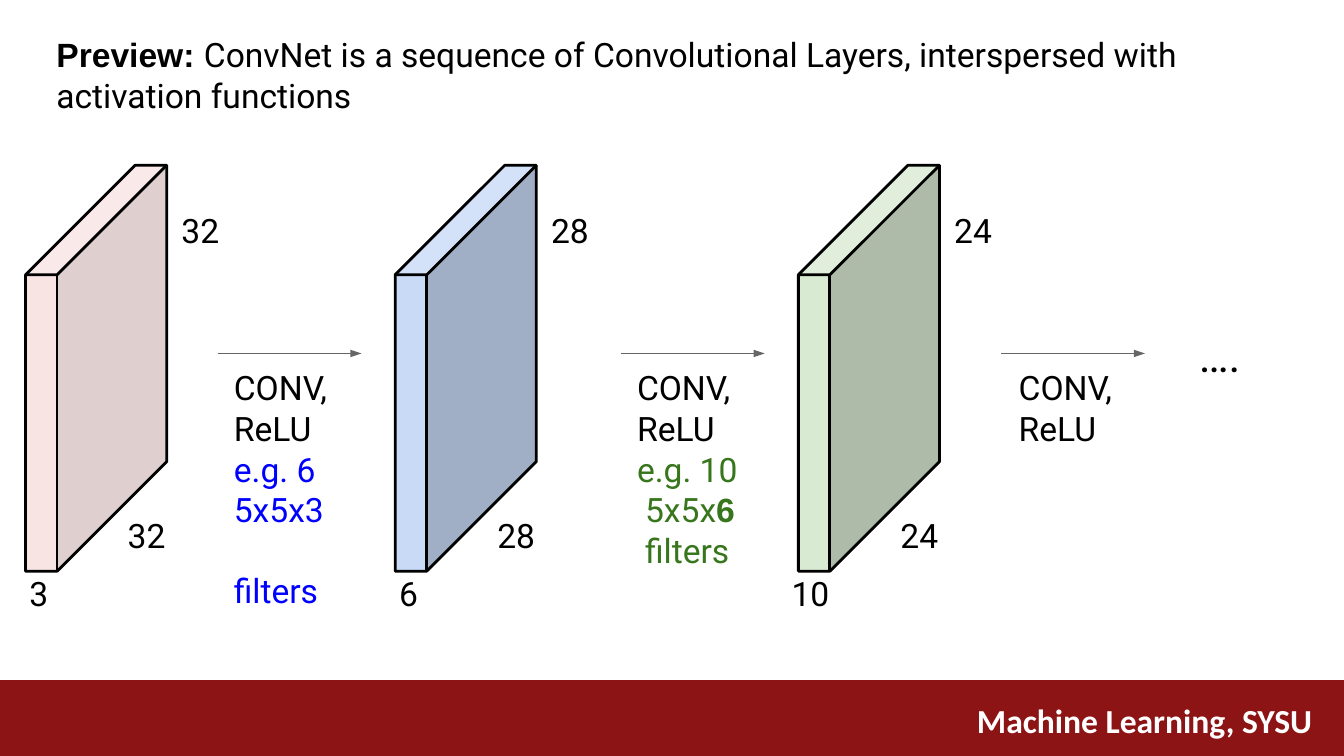
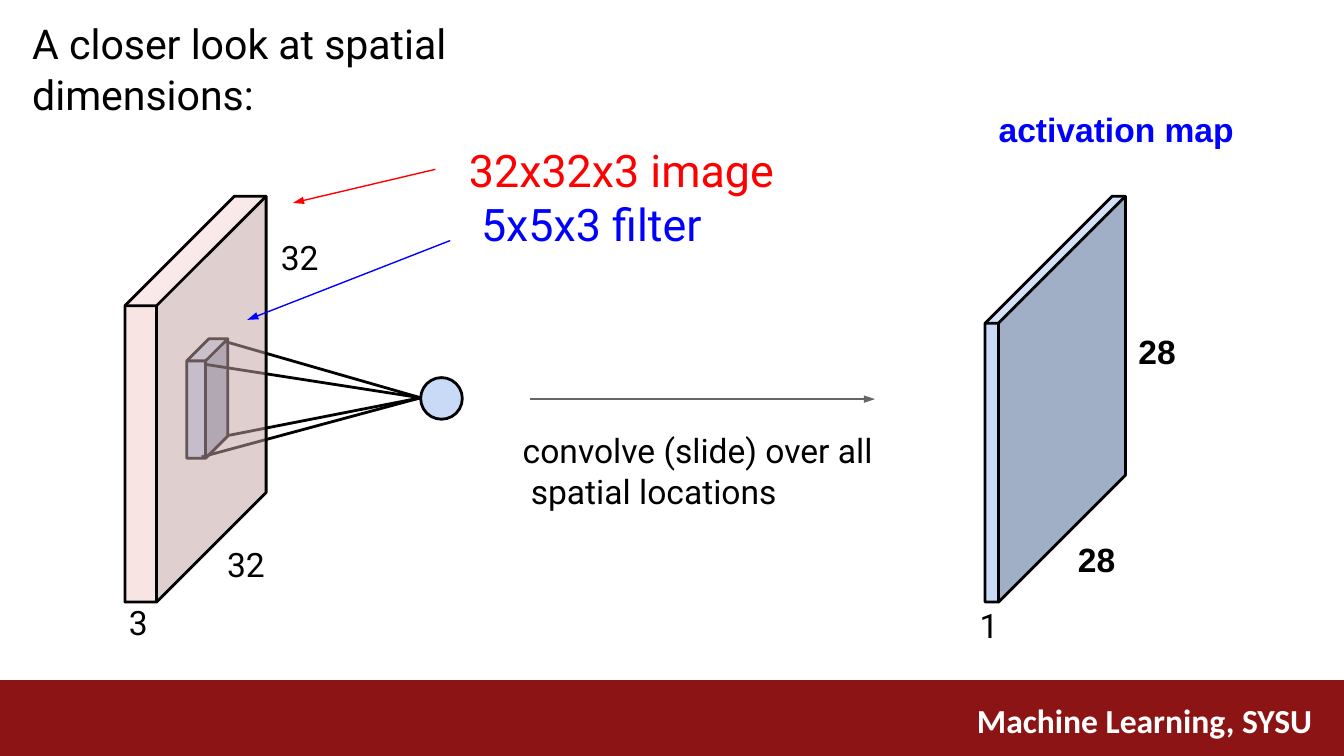
from pptx import Presentation
from pptx.dml.color import RGBColor as RGB
from pptx.enum.shapes import MSO_CONNECTOR as CONN, MSO_SHAPE as SHAPE
from pptx.enum.text import MSO_ANCHOR as ANCHOR, MSO_AUTO_SIZE as FIT, PP_ALIGN as ALIGN
from pptx.oxml.ns import qn
from pptx.util import Inches, Pt
from lxml.etree import SubElement

C = {
    "black": "000000", "white": "FFFFFF", "band": "8C1414", "grey": "666666",
    "red": "FF0000", "blue": "0000FF", "green": "37761C", "node": "C9DAF7",
}
FACES = {
    "pink": ("F4CCCC", "C3A3A3", "F6D6D6"),
    "blue": ("C9DAF7", "A0AEC6", "D3E1F9"),
    "green": ("D9EAD3", "ADBBA8", "E0EEDB"),
}
STYLES = {
    "plain": ("Roboto", 18, "black", False),
    "strong": ("Arial", 18, "black", True),
    "blue": ("Roboto", 18, "blue", False),
    "map": ("Arial", 18, "blue", True),
    "green": ("Roboto", 18, "green", False),
    "green strong": ("Arial", 18, "green", True),
    "heading": ("Roboto", 22, "black", False),
    "image": ("Roboto", 24, "red", False),
    "filter": ("Roboto", 24, "blue", False),
    "dots": ("Roboto", 24, "black", False),
    "footer": ("Calibri", 18, "white", True),
}

prs = Presentation()
prs.slide_width, prs.slide_height = Inches(10), Inches(5.625)
U = prs.slide_width / 100
layout = prs.slide_layouts[5]
for ph in list(layout.placeholders):
    if ph.placeholder_format.idx:
        ph._element.getparent().remove(ph._element)
s1, s2 = [prs.slides.add_slide(layout) for _ in range(2)]


def prism(s, x, y, w, h, d, faces, alpha=None):
    a, b, c = (x, y + d), (x + d, y), (x + d + w, y)
    e, f, g = (x + d + w, y + h - d), (x + w, y + h), (x, y + h)
    m = (x + w, y + d)
    parts = [([face], color) for face, color in zip(([a, m, f, g], [m, c, e, f], [a, b, c, m]), FACES[faces])]
    parts.append(([[a, b, c, e, f, g], [a, m, c], [m, f]], None))
    for strokes, color in parts:
        fb = None
        for stroke in strokes:
            pts = [(round(px * U), round(py * U)) for px, py in stroke]
            if fb is None:
                fb = s.shapes.build_freeform(*pts[0], scale=1.0)
            else:
                fb.move_to(*pts[0])
            fb.add_line_segments(pts[1:], close=len(pts) > 3)
        sp = fb.convert_to_shape()
        sp.shadow.inherit = False
        if color:
            sp.fill.solid()
            sp.fill.fore_color.rgb = RGB.from_string(color)
            sp.line.fill.background()
            if alpha:
                clr = sp._element.spPr.find(qn("a:solidFill"))[0]
                SubElement(clr, qn("a:alpha"), val=str(alpha * 1000))
        else:
            sp.fill.background()
            sp.line.color.rgb = RGB.from_string(C["black"])
            sp.line.width = Pt(1.5)


def link(s, x1, y1, x2, y2, color, width=0.75, head=True):
    cx = s.shapes.add_connector(CONN.STRAIGHT, *[round(v * U) for v in (x1, y1, x2, y2)])
    cx.line.color.rgb = RGB.from_string(C[color])
    cx.line.width = Pt(width)
    if head:
        SubElement(cx.line._get_or_add_ln(), qn("a:tailEnd"), type="triangle", w="sm", len="med")
    SubElement(cx._element.spPr, qn("a:effectLst"))


band = s1.shapes.add_shape(SHAPE.RECTANGLE, 0, round(50.6 * U), prs.slide_width, round(5.65 * U))
node = s2.shapes.add_shape(SHAPE.OVAL, *[round(v * U) for v in (31.3, 28.1, 3.1, 3.1)])
for sp, fill in ((band, "band"), (node, "node")):
    sp.shadow.inherit = False
    sp.fill.solid()
    sp.fill.fore_color.rgb = RGB.from_string(C[fill])
band.line.fill.background()
node.line.color.rgb = RGB.from_string(C["black"])
node.line.width = Pt(1.5)

SNUG = {"space_before": Pt(1)}
BODY = {"space_before": Pt(0.8), "line_spacing": 1.01}
NEXT = {"line_spacing": 1.01}
GAP = {"space_before": Pt(21.5), "line_spacing": 1.01}
TALL = {"line_spacing": Pt(28.5)}
SIDE = {"line_spacing": Pt(14.8)}
conv = (BODY, 0, [("CONV, ReLU", "plain")])

texts = [
    (s1, "footer", (71.7, 51.6, 27.5, 4), [({}, 0, [("Machine Learning, SYSU", "footer")])]),
    (s1, "title", (4.1, 2.4, 84.2, 6.3), [(BODY, 0.1, [
        ("Preview: ", "strong"),
        ("ConvNet is a sequence of Convolutional Layers, interspersed with activation functions", "plain")])]),
    (s2, "title", (2.3, 1.3, 48, 3.9), [
        (SNUG, 0.1, [("A closer look at spatial", "heading")]),
        (SNUG, 0.1, [("dimensions:", "heading")])]),
    (s1, "body", (17.4, 27.2, 8.2, 15.4), [
        conv,
        (NEXT, 0, [("e.g. 6", "blue")]),
        (NEXT, 0, [("5x5x3", "blue")]),
        (GAP, 0, [("filters", "blue")])]),
    (s1, "body", (47.4, 27.2, 8.2, 15.4), [
        conv,
        (NEXT, 0, [("e.g. 10", "green")]),
        (NEXT, 0.6, [("5x5x", "green"), ("6", "green strong")]),
        (NEXT, 0.6, [("filters", "green")])]),
    (s1, "body", (75.8, 27.2, 8.2, 6.3), [conv]),
    (s2, "body", (20.8, 10.6, 38, 10.4), [
        (TALL, 14.1, [("32x32x3 image", "image")]),
        (TALL, 15, [("5x5x3 filter", "filter")]),
        (SIDE, 0.1, [("32", "plain")])]),
    (s2, "body", (38.8, 31.9, 26.4, 6.3), [
        (BODY, 0.1, [("convolve (slide) over all", "plain")]),
        (NEXT, 0.7, [("spatial locations", "plain")])]),
]
labels = [
    (s1, 89.1, 24.3, 4.5, "….", "dots"),
    (s2, 16.8, 40.4, 3.1, "32", "plain"),
    (s2, 9.5, 44.7, 1.7, "3", "plain"),
    (s2, 74.2, 8, 17.8, "activation map", "map"),
    (s2, 72.8, 44.9, 1.7, "1", "plain"),
    (s2, 80.1, 40, 3.1, "28", "strong"),
    (s2, 84.6, 24.5, 3.1, "28", "strong"),
]

for x, size, depth, shift, faces, alpha in (
    (1.9, "32", "3", 0.2, "pink", 52),
    (29.4, "28", "6", 0.2, "blue", None),
    (59.4, "24", "10", -0.6, "green", None),
):
    prism(s1, x, 12.3, 2.35, 30.2, 8.15, faces, alpha)
    labels += [
        (s1, x + 7.5, 38.2, 3.1, size, "plain"),
        (s1, x + 11.5, 15.5, 3.1, size, "plain"),
        (s1, x + shift, 42.5, 1.7 * len(depth), depth, "plain"),
    ]
for x in (16.2, 46.2, 74.5):
    link(s1, x, 26.3, x + 10.7, 26.3, "grey")

prism(s2, 13.9, 25.2, 1.4, 8.9, 1.65, "blue")
for x, y in ((15, 34), (15.2, 27.1), (16.7, 25.4), (17, 32.4)):
    link(s2, x, y, 31.3, 29.6, "black", 1.5, False)
prism(s2, 9.3, 14.6, 2.35, 30.2, 8.15, "pink", 52)
prism(s2, 73.3, 14.6, 1, 30.2, 9.45, "blue")
link(s2, 32.4, 12.6, 21.8, 15.1, "red")
link(s2, 33.5, 17.9, 18.4, 23.8, "blue")
link(s2, 39.4, 29.7, 65.1, 29.7, "grey")

for s, x, y, w, text, style in labels:
    h = 4.3 if style == "dots" else 3.3
    texts.append((s, "body", (x, y, w, h), [(SNUG, 0.1, [(text, style)])]))

for s, kind, at, paras in texts:
    at = [round(v * U) for v in at]
    sp = s.shapes.title if kind == "title" else s.shapes.add_textbox(*at)
    sp.left, sp.top, sp.width, sp.height = at
    tf = sp.text_frame
    inset = {"margin_left": 0, "margin_right": 0, "margin_top": Inches(0.01), "margin_bottom": 0}
    if kind == "footer":
        inset = {"margin_left": Inches(0.1), "margin_top": Inches(0.05)}
        footer = sp
    for name, value in {"word_wrap": True, "auto_size": FIT.NONE, "vertical_anchor": ANCHOR.TOP, **inset}.items():
        setattr(tf, name, value)
    for i, (fmt, indent, runs) in enumerate(paras):
        p = tf.add_paragraph() if i else tf.paragraphs[0]
        for name, value in {"alignment": ALIGN.LEFT, "space_before": Pt(0), **fmt}.items():
            setattr(p, name, value)
        p._p.get_or_add_pPr().set("marL", str(round(indent * U)))
        for text, style in runs:
            r = p.add_run()
            r.text = text
            face, size, color, bold = STYLES[style]
            for name, value in {"name": face, "size": Pt(size), "bold": bold}.items():
                setattr(r.font, name, value)
            r.font.color.rgb = RGB.from_string(C[color])

for sp in (band, footer):
    layout.shapes._spTree.append(sp._element)

prs.save("out.pptx")
